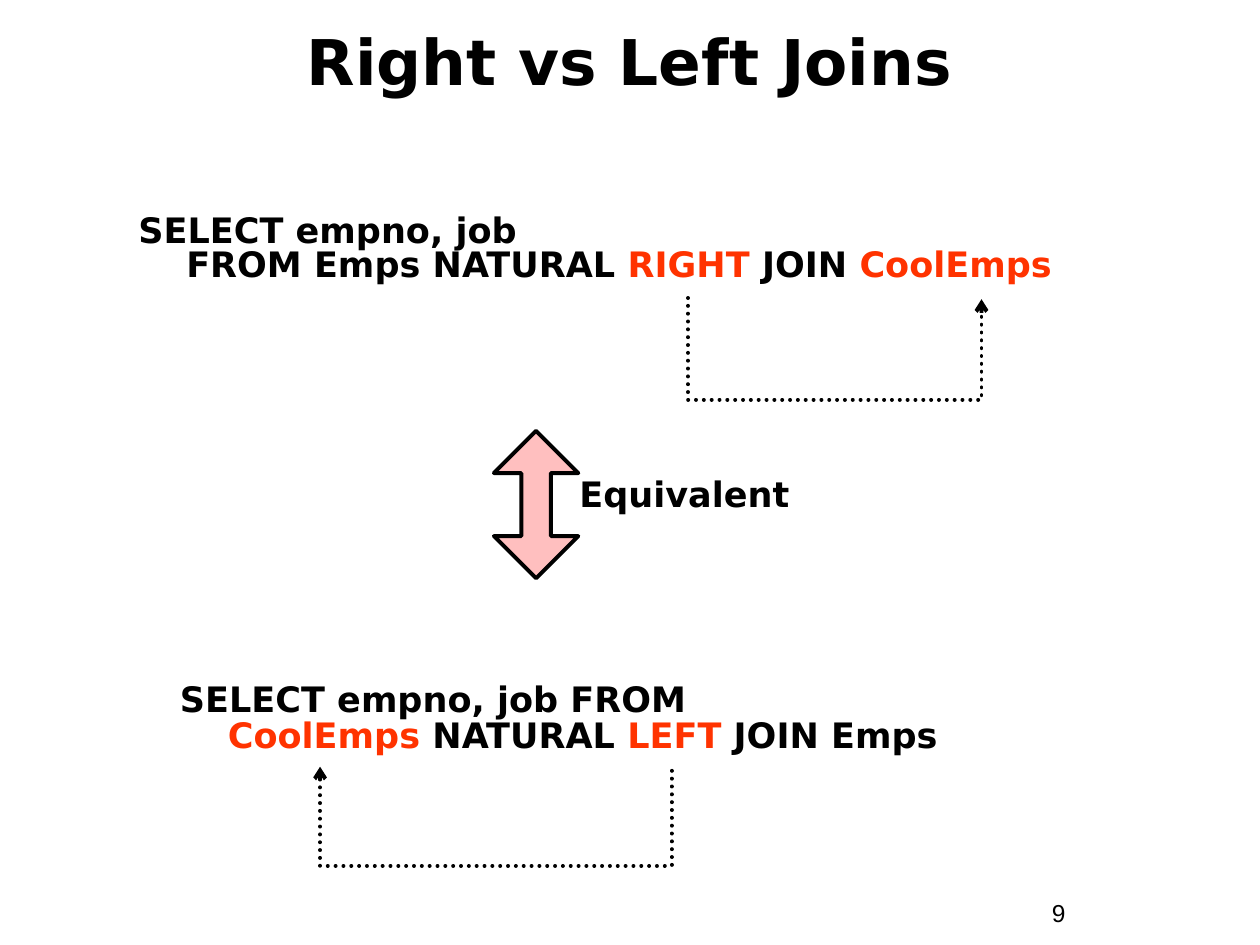
from pptx import Presentation
from pptx.dml.color import RGBColor
from pptx.enum.dml import MSO_LINE
from pptx.enum.shapes import MSO_CONNECTOR, MSO_SHAPE
from pptx.enum.text import MSO_ANCHOR, PP_ALIGN
from pptx.oxml.ns import qn
from pptx.util import Inches, Pt
from lxml.etree import SubElement as Sub

SANS = "DejaVu Sans"
BLACK, RED, PINK = "000000", "FF3300", "FFBFBF"


def color(code):
    return RGBColor.from_string(code)


def write(frame, *runs, size=20, font=SANS, bold=True, align=None,
          space=1, hang=0, anchor=MSO_ANCHOR.TOP):
    """Fill one paragraph; each run is a text or a (text, colour) pair."""
    frame.word_wrap = True
    frame.vertical_anchor = anchor
    para = frame.paragraphs[0]
    para.alignment = align
    para.line_spacing = space
    para.space_before = Pt(0)
    if hang:
        props = para._p.get_or_add_pPr()
        props.set("marL", str(Inches(hang)))
        props.set("indent", str(-Inches(hang)))
    for item in runs:
        text, code = (item, BLACK) if isinstance(item, str) else item
        for n, line in enumerate(text.split("\n")):
            if n:
                para.add_line_break()
            if line:
                run = para.add_run()
                run.text = line
                run.font.size, run.font.name = Pt(size), font
                run.font.bold = bold
                run.font.color.rgb = color(code)


def label(slide, box, *runs, **style):
    shape = slide.shapes.add_textbox(*map(Inches, box))
    write(shape.text_frame, *runs, **style)


def title(slide, box, text):
    shape = slide.shapes.title
    shape.left, shape.top, shape.width, shape.height = map(Inches, box)
    write(shape.text_frame, text, size=36, align=PP_ALIGN.CENTER,
          anchor=MSO_ANCHOR.MIDDLE)


def loop(slide, box, end):
    """Dotted U-shaped elbow hanging below the top edge of the box."""
    left, top, width, depth = box
    thin = 0.01
    # A thin, tall elbow, turned a quarter so that its bend points down
    mid = left + width / 2
    line = slide.shapes.add_connector(
        MSO_CONNECTOR.ELBOW,
        Inches(mid + thin / 2), Inches(top - width / 2),
        Inches(mid - thin / 2), Inches(top + width / 2))
    props = line._element.spPr
    props.find(qn("a:xfrm")).set("rot", str(270 * 60000))
    guides = props.find(qn("a:prstGeom")).get_or_add_avLst()
    Sub(guides, qn("a:gd"), name="adj1",
        fmla=f"val {round(depth / thin * 100000)}")
    line.line.color.rgb = color(BLACK)
    line.line.width = Pt(2.25)
    line.line.dash_style = MSO_LINE.ROUND_DOT
    stroke = props.find(qn("a:ln"))
    stroke.set("cap", "rnd")
    Sub(stroke, qn(f"a:{end}"), type="arrow")
    Sub(props, qn("a:effectLst"))


def query(slide, box, runs, space, link, end):
    label(slide, box, *runs, space=space, hang=0.38)
    loop(slide, link, end)


def middle(slide, box):
    left, top, width, height = box
    arrow = slide.shapes.add_shape(
        MSO_SHAPE.UP_DOWN_ARROW, Inches(left), Inches(top),
        Inches(0.67), Inches(height))
    arrow.adjustments[0], arrow.adjustments[1] = 0.5, 0.35
    arrow.shadow.inherit = False
    arrow.fill.solid()
    arrow.fill.fore_color.rgb = color(PINK)
    arrow.line.color.rgb = color(BLACK)
    arrow.line.width = Pt(2.25)
    label(slide, (left + 0.58, top + 0.33, width - 0.58, 0.39),
          "Equivalent", space=0.85, hang=0.38)


def main():
    deck = Presentation()
    deck.slide_width, deck.slide_height = Inches(10), Inches(7.5)
    slide = deck.slides.add_slide(deck.slide_layouts[5])

    title(slide, (0.33, 0.1, 9.33, 0.75), "Right vs Left Joins")

    # Right join, its arrow pointing at the kept table
    query(slide, (1, 1.67, 7.58, 0.64),
          ["SELECT empno, job\nFROM Emps NATURAL ", ("RIGHT", RED),
           " JOIN ", ("CoolEmps", RED)],
          0.8, (5.46, 2.37, 2.33, 0.82), "tailEnd")

    middle(slide, (3.92, 3.42, 2.66, 1.17))

    # The same query as a left join
    query(slide, (1.33, 5.38, 7.25, 1.13),
          ["SELECT empno, job FROM\n", ("CoolEmps ", RED), "NATURAL ",
           ("LEFT", RED), " JOIN Emps"],
          0.85, (2.54, 6.09, 2.79, 0.8), "headEnd")

    # Slide number
    label(slide, (8.25, 7.08, 0.92, 0.34), "9",
          size=14, font="Arial", bold=False)
    deck.save("out.pptx")


if __name__ == "__main__":
    main()
